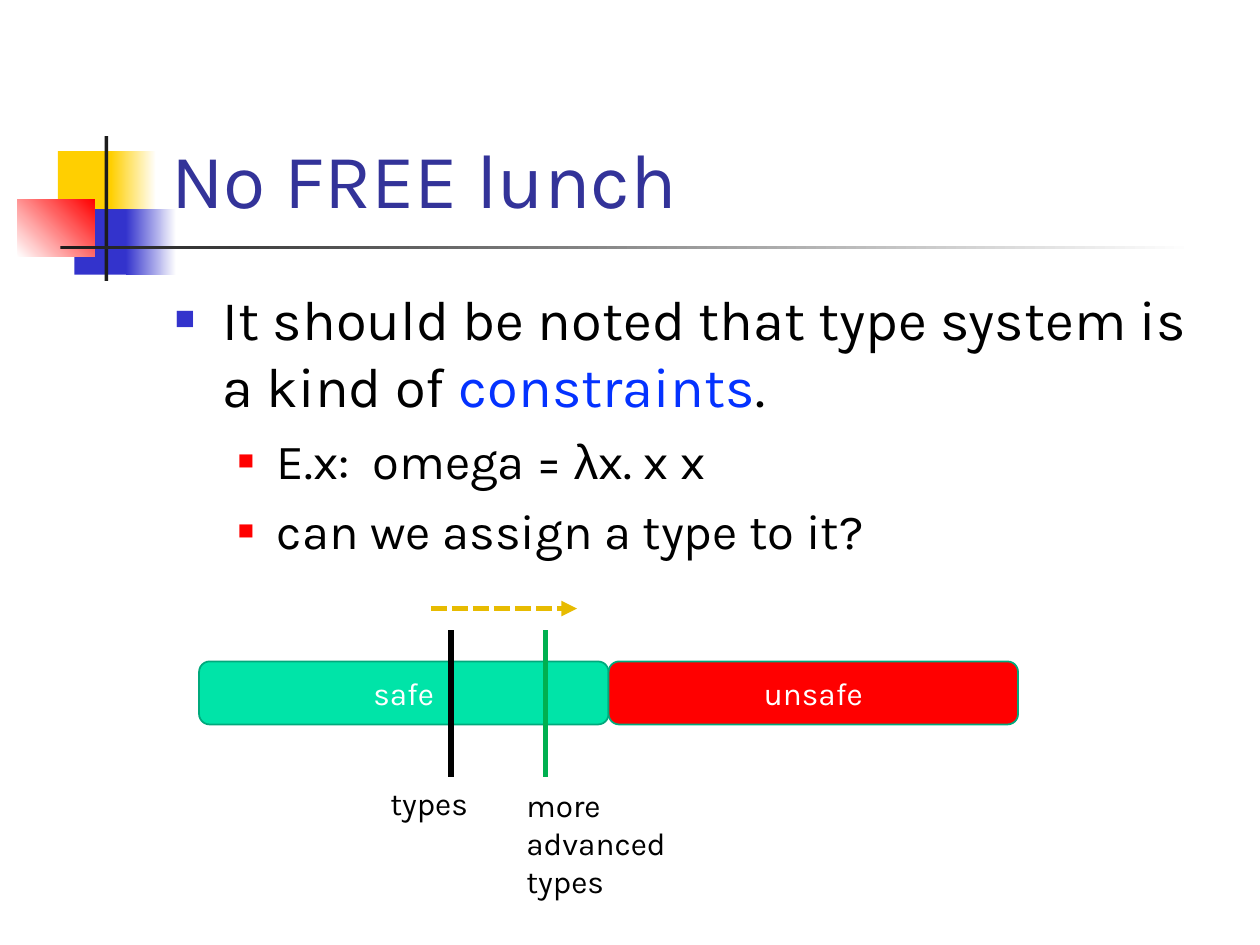
from lxml import etree
from pptx import Presentation
from pptx.dml.color import RGBColor
from pptx.enum.dml import MSO_LINE
from pptx.enum.shapes import MSO_CONNECTOR, MSO_SHAPE
from pptx.enum.text import MSO_ANCHOR, PP_ALIGN
from pptx.oxml.ns import qn
from pptx.util import Inches, Pt

RECT, ROUNDED = MSO_SHAPE.RECTANGLE, MSO_SHAPE.ROUNDED_RECTANGLE
STRAIGHT = MSO_CONNECTOR.STRAIGHT
CENTER = PP_ALIGN.CENTER
BOTTOM, MIDDLE, TOP = MSO_ANCHOR.BOTTOM, MSO_ANCHOR.MIDDLE, MSO_ANCHOR.TOP
DASH = MSO_LINE.SQUARE_DOT

BLACK = RGBColor(0x00, 0x00, 0x00)
WHITE = RGBColor(0xFF, 0xFF, 0xFF)
YELLOW = RGBColor(0xFF, 0xCF, 0x01)
BLUE = RGBColor(0x33, 0x33, 0xCC)
RED = RGBColor(0xFF, 0x00, 0x00)
CHARCOAL = RGBColor(0x1C, 0x1C, 0x1C)
NAVY = RGBColor(0x33, 0x33, 0x99)
BRIGHT_BLUE = RGBColor(0x04, 0x32, 0xFF)
MINT = RGBColor(0x00, 0xE4, 0xA8)
DARK_MINT = RGBColor(0x00, 0xA9, 0x7C)
GREEN = RGBColor(0x00, 0xB0, 0x50)
GOLD = RGBColor(0xE7, 0xBB, 0x01)


def add_run(p, text, size, color, font="Karla"):
    r = p.add_run()
    r.text = text
    r.font.name, r.font.size = font, Pt(size)
    r.font.color.rgb = color


def add_text_box(x, y, w, h, anchor=TOP):
    tf = s.shapes.add_textbox(Inches(x), Inches(y), Inches(w), Inches(h)).text_frame
    tf.word_wrap = True
    tf.vertical_anchor = anchor
    return tf


prs = Presentation()
prs.slide_width, prs.slide_height = Inches(10), Inches(7.5)
s = prs.slides.add_slide(prs.slide_layouts[6])

# Corner decoration and title rule: position, start colour, end colour, angle
decoration = [
    (0.46, 1.2, 0.48, 0.52, YELLOW, None, 0),
    (0.88, 1.2, 0.36, 0.52, YELLOW, WHITE, 0),
    (0.59, 1.66, 0.46, 0.52, BLUE, None, 0),
    (1, 1.66, 0.4, 0.52, BLUE, WHITE, 0),
    (0.14, 1.58, 0.61, 0.46, WHITE, RED, 45),
    (0.83, 1.08, 0.03, 1.15, CHARCOAL, None, 0),
    (0.48, 1.95, 9, 0.03, CHARCOAL, WHITE, 0),
]
for x, y, w, h, start, end, angle in decoration:
    sp = s.shapes.add_shape(RECT, Inches(x), Inches(y), Inches(w), Inches(h))
    sp.shadow.inherit = False
    sp.line.fill.background()
    if end is None:
        sp.fill.solid()
        sp.fill.fore_color.rgb = start
    else:
        sp.fill.gradient()
        sp.fill.gradient_angle = angle
        for stop, color in zip(sp.fill.gradient_stops, (start, end)):
            stop.color.rgb = color

# Title
tf = add_text_box(1.26, 0.23, 8.52, 1.6, BOTTOM)
add_run(tf.paragraphs[0], "No FREE lunch", 44, NAVY)

# Bulleted body: level, space before, runs
body = [
    (0, 0, [("It should be noted that type system is a kind of ", BLACK, "Karla"),
            ("constraints", BRIGHT_BLUE, "Karla"), (".", BLACK, "Karla")]),
    (1, 6.5, [("E.x:  omega = ", BLACK, "Karla"), ("λ", BLACK, "Arial"),
              ("x. x x", BLACK, "Karla")]),
    (1, 6.5, [("can we assign a type to it?", BLACK, "Karla")]),
]
# Per level: text size, left margin, indent, bullet colour, bullet size
levels = [(32, 0.38, -0.38, BLUE, 60), (28, 0.81, -0.31, RED, 55)]
tf = add_text_box(1.29, 2.21, 8.5, 4.5)
for i, (level, before, runs) in enumerate(body):
    p = tf.paragraphs[0] if i == 0 else tf.add_paragraph()
    size, margin, indent, bullet_color, bullet_size = levels[level]
    p.level = level
    pPr = p._p.get_or_add_pPr()
    pPr.set("marL", str(Inches(margin)))
    pPr.set("indent", str(Inches(indent)))
    buClr = etree.SubElement(pPr, qn("a:buClr"))
    etree.SubElement(buClr, qn("a:srgbClr")).set("val", str(bullet_color))
    etree.SubElement(pPr, qn("a:buSzPct")).set("val", str(bullet_size * 1000))
    etree.SubElement(pPr, qn("a:buFont")).set("typeface", "Arial")
    etree.SubElement(pPr, qn("a:buChar")).set("char", "■")
    if before:
        p.space_before = Pt(before)
    for text, color, font in runs:
        add_run(p, text, size, color, font)

# Safe and unsafe halves of the bar
bar_left, bar_width = 1.58, 3.25
for i, (label, color) in enumerate([("safe", MINT), ("unsafe", RED)]):
    sp = s.shapes.add_shape(ROUNDED, Inches(bar_left + i * bar_width), Inches(5.25),
                            Inches(bar_width), Inches(0.5))
    sp.shadow.inherit = False
    sp.fill.solid()
    sp.fill.fore_color.rgb = color
    sp.line.color.rgb = DARK_MINT
    sp.line.width = Pt(1)
    sp.text_frame.vertical_anchor = MIDDLE
    p = sp.text_frame.paragraphs[0]
    p.alignment = CENTER
    add_run(p, label, 18, WHITE)

# Boundary markers and the arrow between them
lines = [
    (3.58, 5, 3.58, 6.17, BLACK, False),
    (4.33, 5, 4.33, 6.17, GREEN, False),
    (3.42, 4.83, 4.58, 4.83, GOLD, True),
]
for x1, y1, x2, y2, color, is_arrow in lines:
    c = s.shapes.add_connector(STRAIGHT, Inches(x1), Inches(y1), Inches(x2), Inches(y2))
    c.line.color.rgb = color
    c.line.width = Pt(3)
    if is_arrow:
        c.line.dash_style = DASH
        etree.SubElement(c.line._get_or_add_ln(), qn("a:tailEnd")).set("type", "triangle")
    etree.SubElement(c._element.spPr, qn("a:effectLst"))

# Marker labels
labels = [
    (3, 6.17, 0.83, 0.4, ["types"]),
    (4.08, 6.19, 1.37, 1.01, ["more", "advanced", "types"]),
]
for x, y, w, h, words in labels:
    tf = add_text_box(x, y, w, h)
    for i, word in enumerate(words):
        p = tf.paragraphs[0] if i == 0 else tf.add_paragraph()
        add_run(p, word, 18, BLACK)

prs.save("out.pptx")
